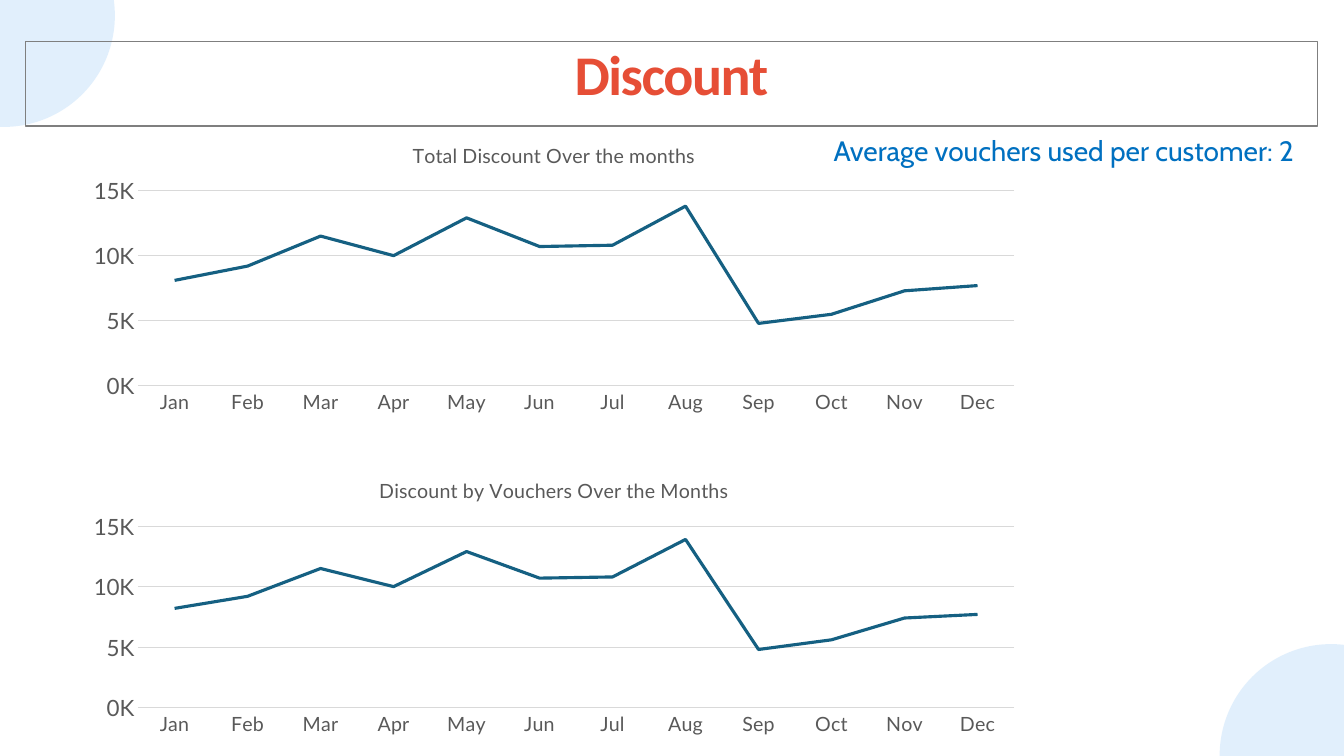
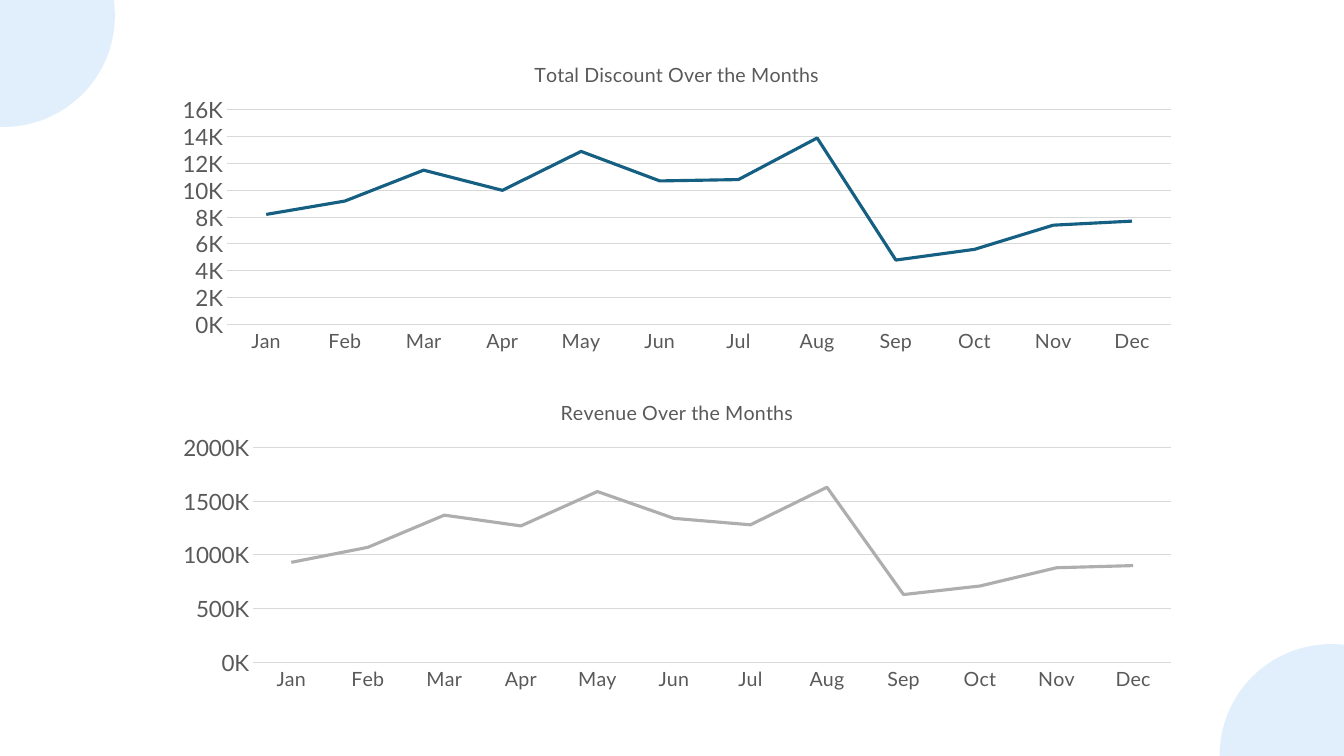
from lxml import etree
from pptx import Presentation
from pptx import util as u
from pptx.chart.data import CategoryChartData
from pptx.dml.color import RGBColor
from pptx.enum import chart as ch, shapes, text
from pptx.oxml.ns import qn

COLORS = {
    "title": "E64E36", "frame": "7F7F7F", "note": "0070C0", "circle": "76B8F4",
    "label": "595959", "grid": "D9D9D9", "discount": "156082", "revenue": "AEAEAE",
}
TITLE_ONLY, BLANK = 5, 6
MONTHS = "Jan Feb Mar Apr May Jun Jul Aug Sep Oct Nov Dec".split()
TOTAL = [8100, 9200, 11500, 10000, 12900, 10700, 10800, 13800, 4800, 5500, 7300, 7700]
VOUCHERS = [8200, 9200, 11500, 10000, 12900, 10700, 10800, 13900, 4800, 5600, 7400, 7700]
REVENUE = [930000, 1070000, 1370000, 1270000, 1590000, 1340000,
           1280000, 1630000, 630000, 710000, 880000, 900000]


def rgb(name):
    return RGBColor.from_string(COLORS[name])


class Deck:
    """Holds the style and the current slide; boxes are percentages of the slide."""

    def __init__(self):
        self.prs = Presentation()
        self.prs.slide_width, self.prs.slide_height = u.Inches(13.33), u.Inches(7.5)
        self.slide = None

    def add_slide(self, layout):
        self.slide = self.prs.slides.add_slide(self.prs.slide_layouts[layout])

    def box(self, left, top, width, height):
        w, h = self.prs.slide_width, self.prs.slide_height
        return [u.Emu(round(share * side / 100)) for share, side in
                ((left, w), (top, h), (width, w), (height, h))]

    def style_font(self, font, face, size, color, bold=False):
        font.name, font.size, font.bold = face, u.Pt(size), bold
        font.color.rgb = rgb(color)

    def set_insets(self, tf, side, end):
        tf.margin_left = tf.margin_right = u.Inches(side)
        tf.margin_top = tf.margin_bottom = u.Inches(end)

    def master_circles(self, corners):
        """Draw the corner circles, then move them to the slide master."""
        for number, (left, top) in enumerate(corners, 101):
            sp = self.slide.shapes.add_shape(
                shapes.MSO_SHAPE.OVAL, *self.box(left, top, 16.58, 29.47))
            sp.shadow.inherit = False
            sp.line.fill.background()
            sp.fill.solid()
            sp.fill.fore_color.rgb = rgb("circle")
            color = sp.element.spPr.find(".//" + qn("a:srgbClr"))
            etree.SubElement(color, qn("a:alpha"), val="21000")
            sp.element.nvSpPr.cNvPr.set("id", str(number))
            self.prs.slide_master.shapes.element.append(sp.element)

    def title(self, words, box):
        sp = self.slide.shapes.title
        sp.left, sp.top, sp.width, sp.height = self.box(*box)
        sp.line.color.rgb, sp.line.width = rgb("frame"), u.Pt(0.75)
        tf = sp.text_frame
        tf.auto_size = text.MSO_AUTO_SIZE.NONE
        tf.vertical_anchor = text.MSO_ANCHOR.MIDDLE
        self.set_insets(tf, 0.13, 0.13)
        p = tf.paragraphs[0]
        p.alignment, p.line_spacing = text.PP_ALIGN.CENTER, u.Pt(33.6)
        r = p.add_run()
        r.text = words
        self.style_font(r.font, "Calibri", 40, "title", bold=True)
        r.font._element.set("spc", "-100")

    def note(self, words, box):
        tf = self.slide.shapes.add_textbox(*self.box(*box)).text_frame
        tf.word_wrap = True
        self.set_insets(tf, 0.13, 0.07)
        r = tf.paragraphs[0].add_run()
        r.text = words
        self.style_font(r.font, "Cabin", 20, "note")

    def line_chart(self, words, values, color, box, top_value, step, label_width=4.8):
        data = CategoryChartData()
        data.categories = MONTHS
        data.add_series("Series 1", values)
        chart = self.slide.shapes.add_chart(
            ch.XL_CHART_TYPE.LINE, *self.box(*box), data).chart
        chart.font.name, chart.font.size = "Lato", u.Pt(10)
        chart.has_legend = False
        chart.has_title = True
        r = chart.chart_title.text_frame.paragraphs[0].add_run()
        r.text = words
        self.style_font(r.font, "Lato", 14, "label")
        chart.chart_title.include_in_layout = False

        months, amounts = chart.category_axis, chart.value_axis
        for axis, size in ((months, 14), (amounts, 16)):
            axis.major_tick_mark = axis.minor_tick_mark = ch.XL_TICK_MARK.NONE
            self.style_font(axis.tick_labels.font, "Lato", size, "label")
        months.has_major_gridlines = False
        amounts.has_major_gridlines = True
        for line in (months.format.line, amounts.major_gridlines.format.line):
            line.color.rgb, line.width = rgb("grid"), u.Pt(0.75)
        amounts.format.line.fill.background()
        amounts.minimum_scale, amounts.maximum_scale = 0, top_value
        amounts.major_unit = step
        amounts.tick_labels.number_format = '0,"K"'
        amounts.tick_labels.number_format_is_linked = False

        plot = chart.plots[0]
        plot.vary_by_categories = False
        series = plot.series[0]
        series.smooth = False
        series.marker.style = ch.XL_MARKER_STYLE.NONE
        series.format.line.color.rgb = rgb(color)
        series.format.line.width = u.Pt(2.25)
        self.place_plot(chart, box, label_width)

    def place_plot(self, chart, box, label_width):
        """Keep fixed room for the title and the axis labels around the plot."""
        width, height = box[2:]
        top, right, bottom = 8.53, 1.5, 4.53
        shares = {"x": label_width / width, "y": top / height,
                  "w": (width - label_width - right) / width,
                  "h": (height - top - bottom) / height}
        area = chart.element.find(".//" + qn("c:plotArea"))
        for old in area.findall(qn("c:layout")):
            area.remove(old)
        layout = etree.Element(qn("c:layout"))
        area.insert(0, layout)
        manual = etree.SubElement(layout, qn("c:manualLayout"))
        settings = {"layoutTarget": "inner", "xMode": "edge", "yMode": "edge", **shares}
        for tag, value in settings.items():
            etree.SubElement(manual, qn("c:" + tag), val=str(value))


def main():
    deck = Deck()
    deck.add_slide(TITLE_ONLY)
    deck.master_circles([(-8.03, -12.67), (90.75, 85.2)])
    deck.title("Discount", (1.88, 5.47, 96.15, 11.2))
    deck.line_chart("Discount by Vouchers Over the Months", VOUCHERS, "discount",
                    (5.48, 61.07, 71.48, 37.07), 15000, 5000)
    deck.line_chart("Total Discount Over the months", TOTAL, "discount",
                    (5.48, 16.67, 71.48, 38.93), 15000, 5000)
    deck.note("Average vouchers used per customer: 2", (61.05, 16.67, 37.13, 6.27))

    deck.add_slide(BLANK)
    deck.line_chart("Total Discount Over the Months", VOUCHERS, "discount",
                    (12.08, 6, 76.58, 41.47), 16000, 2000)
    deck.line_chart("Revenue Over the Months", REVENUE, "revenue",
                    (12.08, 50.67, 76.58, 41.47), 2000000, 500000, label_width=6.75)
    deck.prs.save("out.pptx")


if __name__ == "__main__":
    main()
